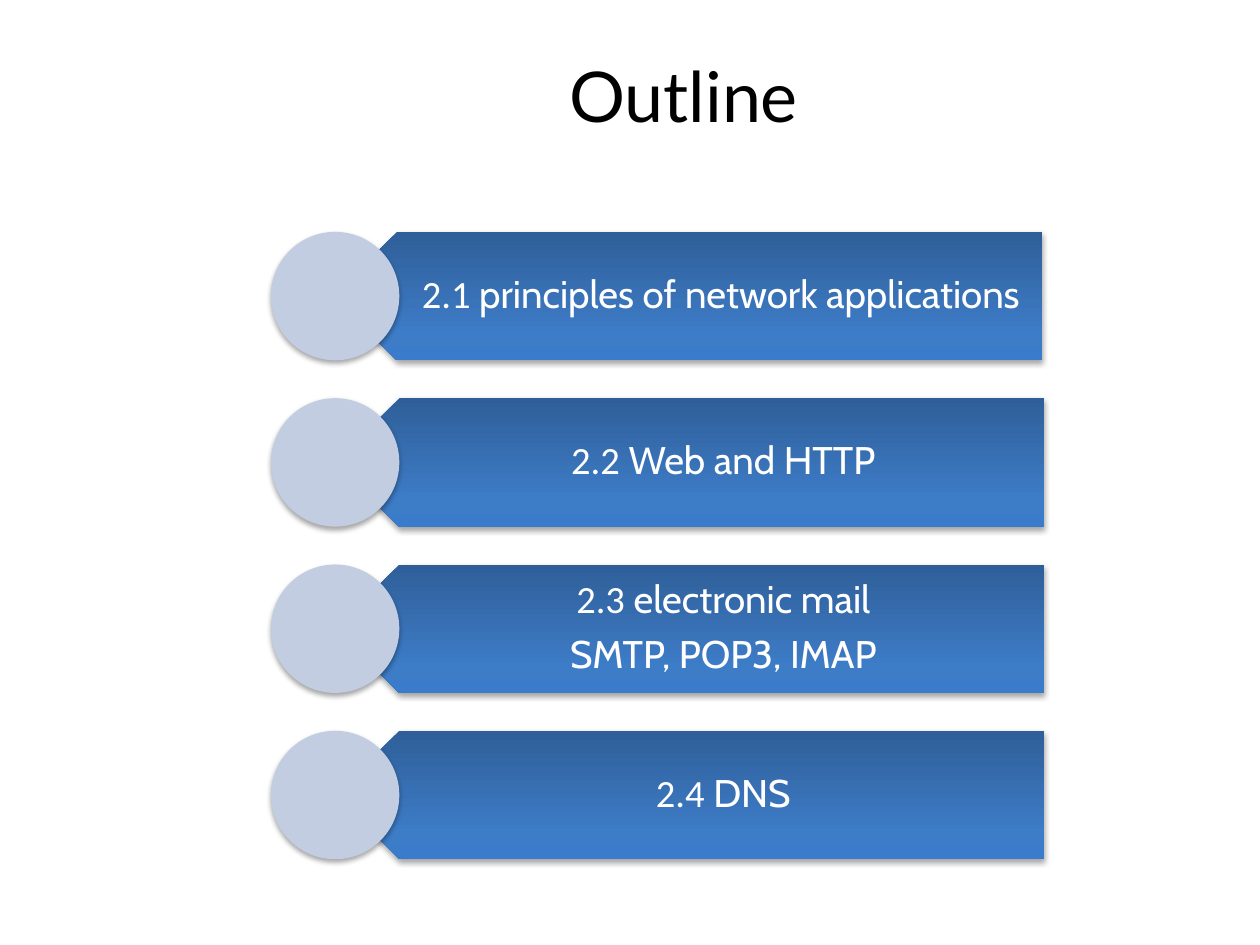
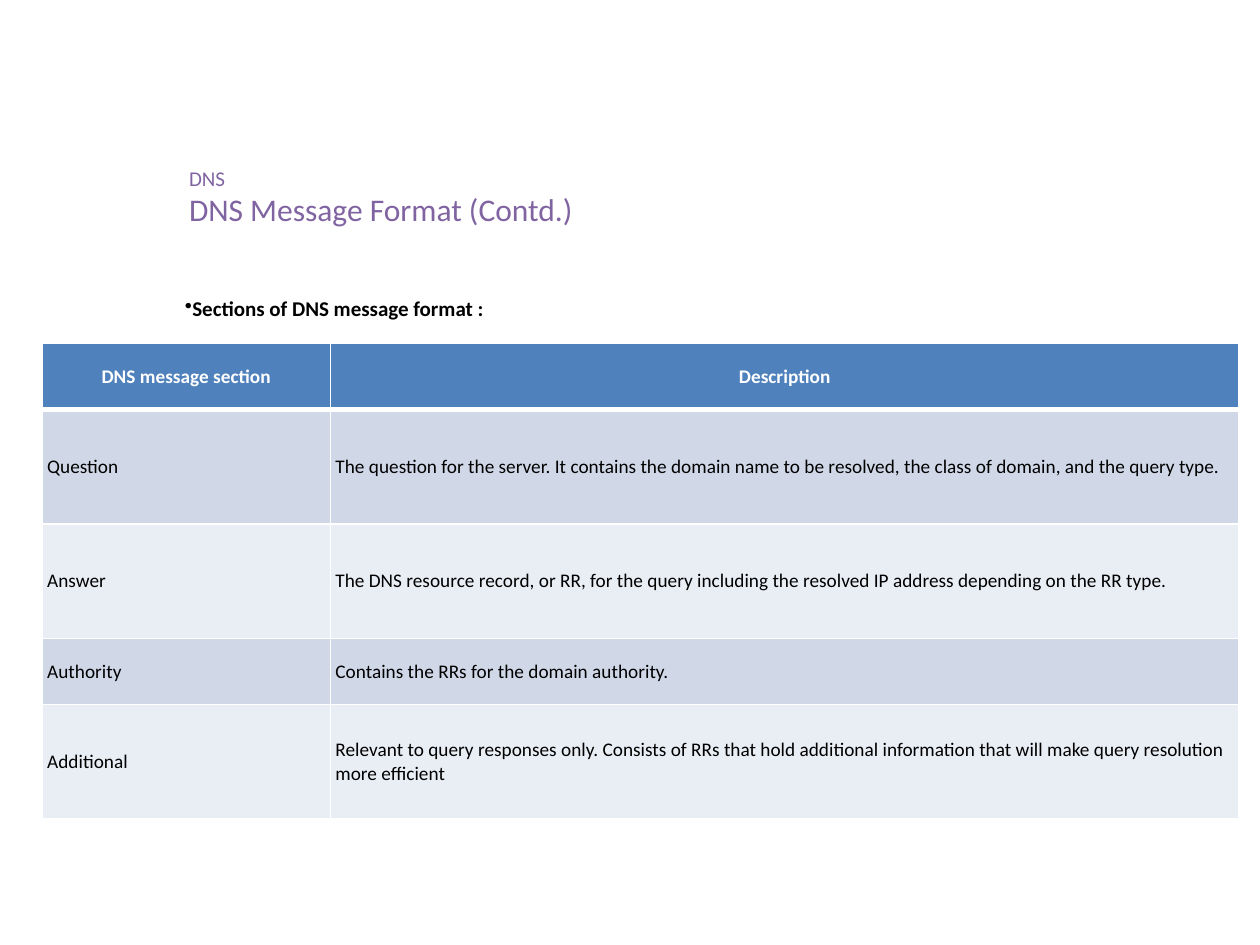
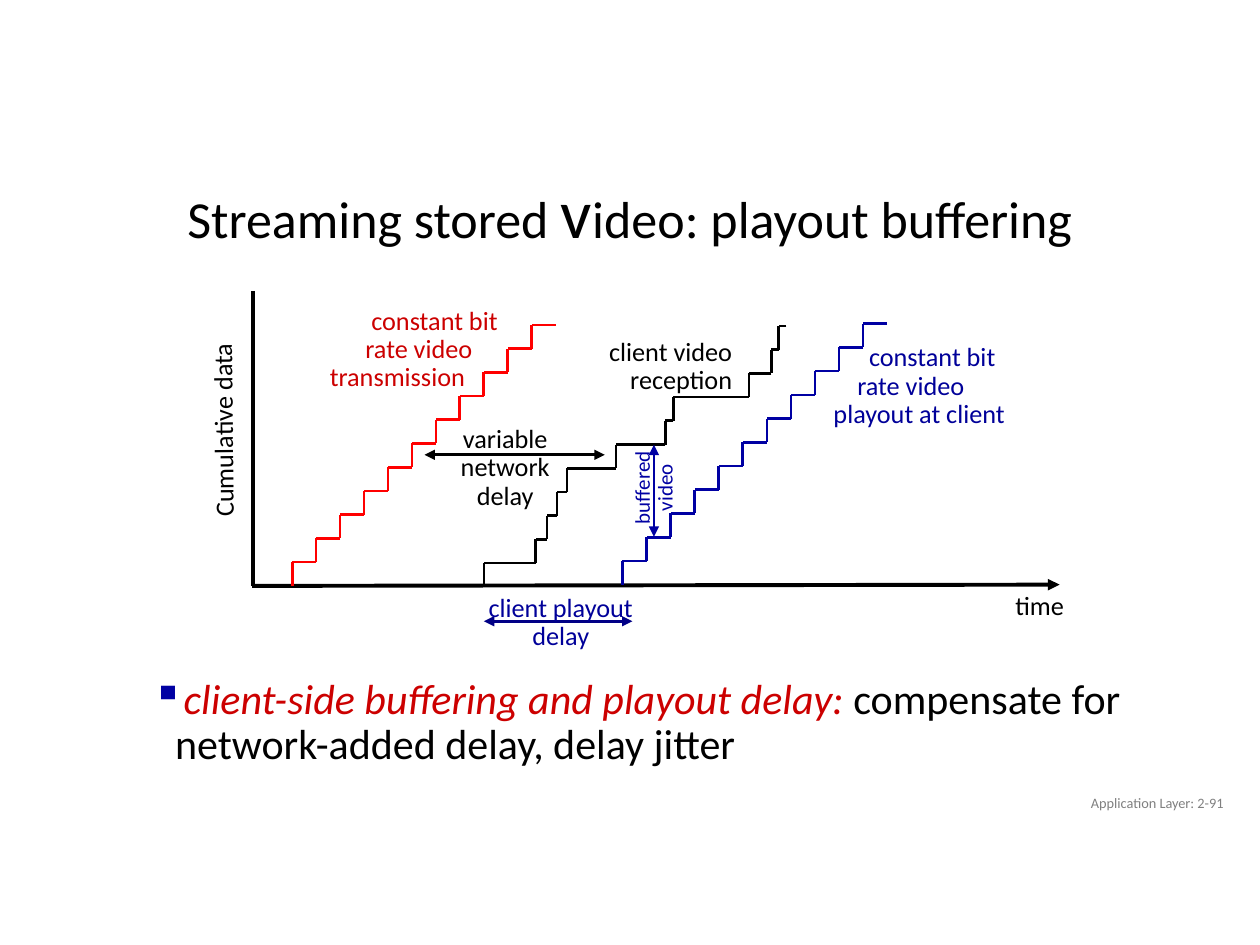
"""Build three network application slides: outline, DNS message table, playout buffering chart."""
from copy import deepcopy
from dataclasses import dataclass

from lxml import etree
from pptx import Presentation
from pptx.dml.color import RGBColor
from pptx.enum.shapes import MSO_CONNECTOR, MSO_SHAPE
from pptx.enum.text import MSO_ANCHOR, PP_ALIGN
from pptx.oxml.ns import qn
from pptx.util import Pt

LEFT, CENTER, RIGHT = PP_ALIGN.LEFT, PP_ALIGN.CENTER, PP_ALIGN.RIGHT
TOP, MIDDLE = MSO_ANCHOR.TOP, MSO_ANCHOR.MIDDLE
STRAIGHT = MSO_CONNECTOR.STRAIGHT
PENTAGON, OVAL = MSO_SHAPE.PENTAGON, MSO_SHAPE.OVAL


@dataclass(frozen=True)
class Theme:
    black: str = "000000"
    white: str = "FFFFFF"
    disc: str = "C2CDE1"
    banner: tuple = ((0, "2F5F99"), (0.8, "3D7CC7"), (1, "3A7CCB"))
    heading: str = "8064A2"
    table_head: str = "4F81BD"
    table_rows: tuple = ("D0D8E8", "E9EDF4")
    sent: str = "FF0000"
    accent: str = "CC0000"
    played: str = "0000A3"
    note: str = "000099"
    delay: str = "010086"
    muted: str = "808080"
    body_font: str = "Calibri"
    title_font: str = "Lato"
    outline_font: str = "Cabin"
    title_size: float = 40
    outline_size: float = 22
    heading_size: float = 18
    small_size: float = 12
    table_size: float = 11
    chart_title_size: float = 29.7
    chart_title_big: float = 39.6
    label_size: float = 15
    point_size: float = 24
    footer_size: float = 8.2


theme = Theme()


def write_text(frame, paragraphs):
    """Fill a frame with (paragraph format, spans); a span is text, size, color, font format."""
    for index, (layout, spans) in enumerate(paragraphs):
        para = frame.paragraphs[0] if index == 0 else frame.add_paragraph()
        layout = dict(layout)
        properties = para._p.get_or_add_pPr()
        left, first = layout.pop("indent", (0, 0))
        properties.set("marL", str(Pt(left)))
        properties.set("indent", str(Pt(first)))
        bullet, bullet_color = layout.pop("bullet", (None, None))
        if bullet:
            color = etree.SubElement(properties, qn("a:buClr"))
            etree.SubElement(color, qn("a:srgbClr"), val=bullet_color)
            etree.SubElement(properties, qn("a:buChar"), char=bullet)
        for name, value in layout.items():
            setattr(para, name, value)
        for text, size, color, font_format in spans:
            span = para.add_run()
            span.text = text
            formats = {"name": theme.body_font, "size": Pt(size), **font_format}
            for name, value in formats.items():
                setattr(span.font, name, value)
            span.font.color.rgb = RGBColor.from_string(color)


def add_line(page, start, end, color, width=1.5, ends=()):
    """Draw a straight line with arrowheads at the named ends."""
    line = page.shapes.add_connector(STRAIGHT, *map(Pt, start + end))
    line.line.color.rgb = RGBColor.from_string(color)
    line.line.width = Pt(width)
    for end_name in ends:
        etree.SubElement(line.line._get_or_add_ln(), qn(f"a:{end_name}"), type="triangle")
    etree.SubElement(line._element.spPr, qn("a:effectLst"))


deck = Presentation()
deck.slide_width, deck.slide_height = Pt(720), Pt(540)
outline, message, streaming = [deck.slides.add_slide(deck.slide_layouts[6]) for _ in range(3)]

topics = [
    ("2.1 ", ["principles of network applications"]),
    ("2.2 ", ["Web and HTTP"]),
    ("2.3 ", ["electronic mail", "SMTP, POP3, IMAP"]),
    ("2.4 ", ["DNS"]),
]
row_height, row_pitch, first_row = 73.4, 95.04, 132.5
topic_layout = {"alignment": CENTER, "line_spacing": 0.9, "space_after": Pt(7.7)}
topic_font = {"name": theme.outline_font}
topic_boxes = []
for row, (number, lines) in enumerate(topics):
    top = first_row + row * row_pitch
    left = 190.1 if row == 0 else 191.5
    banner = outline.shapes.add_shape(PENTAGON, Pt(left), Pt(top), Pt(405.4), Pt(row_height))
    banner.rotation = 180
    banner.fill.gradient()
    banner.fill.gradient_angle = 90
    stop_list = banner._element.spPr.find(qn("a:gradFill")).find(qn("a:gsLst"))
    stop_list.append(deepcopy(stop_list[-1]))
    for stop, (position, color) in zip(banner.fill.gradient_stops, theme.banner):
        stop.position = position
        stop.color.rgb = RGBColor.from_string(color)
    disc = outline.shapes.add_shape(OVAL, Pt(154.8), Pt(top), Pt(row_height), Pt(row_height))
    disc.fill.solid()
    disc.fill.fore_color.rgb = RGBColor.from_string(theme.disc)
    for shape in (banner, disc):
        shape.line.fill.background()
        shape.shadow.inherit = False
        effects = shape._element.spPr.find(qn("a:effectLst"))
        shadow = etree.SubElement(effects, qn("a:outerShdw"), blurRad=str(Pt(3.1)),
                                  dist=str(Pt(1.8)), dir="5400000", rotWithShape="0")
        shadow_color = etree.SubElement(shadow, qn("a:srgbClr"), val=theme.black)
        etree.SubElement(shadow_color, qn("a:alpha"), val="35000")
    paragraphs = [(topic_layout, [(text, theme.outline_size, theme.white, topic_font)])
                  for text in lines]
    paragraphs[0][1].insert(0, (number, theme.outline_size, theme.white, {}))
    topic_boxes.append((outline, (left + 18, top, 387.4, row_height), paragraphs,
                        {"vertical_anchor": MIDDLE, "margin_left": Pt(32.4),
                         "margin_right": Pt(12.2), "margin_top": Pt(6.5),
                         "margin_bottom": Pt(6.5)}, 0))

sections = [
    ("DNS message section", "Description"),
    ("Question", "The question for the server. It contains the domain name to be resolved, "
                 "the class of domain, and the query type."),
    ("Answer", "The DNS resource record, or RR, for the query including the resolved IP address "
               "depending on the RR type."),
    ("Authority", "Contains the RRs for the domain authority."),
    ("Additional", "Relevant to query responses only. Consists of RRs that hold additional "
                   "information that will make query resolution more efficient"),
]
table = message.shapes.add_table(5, 2, Pt(24.1), Pt(196.2), Pt(684), Pt(272)).table
for column, width in zip(table.columns, (164.7, 519.3)):
    column.width = Pt(width)
for row, height in zip(table.rows, (37.8, 65.4, 65.4, 37.8, 65.4)):
    row.height = Pt(height)
cell_format = {"vertical_anchor": MIDDLE, "margin_left": Pt(2.9), "margin_right": Pt(2.9),
               "margin_top": Pt(2.9), "margin_bottom": Pt(2.9)}
for row, texts in enumerate(sections):
    header = row == 0
    for column, text in enumerate(texts):
        cell = table.cell(row, column)
        for name, value in cell_format.items():
            setattr(cell, name, value)
        for side in "LRTB":
            width = 3 if header and side == "B" else 1
            border = etree.SubElement(cell._tc.get_or_add_tcPr(), qn(f"a:ln{side}"),
                                      w=str(Pt(width)))
            border_fill = etree.SubElement(border, qn("a:solidFill"))
            etree.SubElement(border_fill, qn("a:srgbClr"), val=theme.white)
        cell.fill.solid()
        fill = theme.table_head if header else theme.table_rows[(row - 1) % 2]
        cell.fill.fore_color.rgb = RGBColor.from_string(fill)
        color = theme.white if header else theme.black
        write_text(cell.text_frame, [({"alignment": CENTER if header else LEFT},
                                      [(text, theme.table_size, color, {"bold": header})])])

add_line(streaming, (144.7, 166.3), (144.7, 334.8), theme.black, 2.25)
add_line(streaming, (605.5, 334.1), (144, 334.8), theme.black, 2.25, ["headEnd"])
stairs = [
    (theme.sent, 334.8, [167 + 13.68 * step for step in range(12)]),
    (theme.black, 335.4, [276.5, 306, 312.5, 318.2, 324, 352.1, 380.2, 384.8, 428, 440.8,
                          445, 449.3]),
    (theme.played, 334.1, [355.7 + 13.75 * step for step in range(12)]),
]
rise = 13.56
for color, base, edges in stairs:
    for step, (left, right) in enumerate(zip(edges, edges[1:])):
        bottom = base - step * rise
        add_line(streaming, (left, bottom - rise), (left, bottom), color)
        add_line(streaming, (right, bottom - rise), (left, bottom - rise), color)
spans_between = [
    ((242.6, 259.9), (345.6, 259.9), theme.black),
    ((276.5, 355), (361.4, 355), theme.delay),
    ((373.7, 306.7), (373.7, 254.2), theme.played),
]
for start, end, color in spans_between:
    add_line(streaming, start, end, color, ends=["headEnd", "tailEnd"])

labels = [
    ((181.4, 172.1, 114.5, 56.2), LEFT, theme.accent, theme.label_size, 0,
     [("constant bit", 23.7), ("rate video", 20.3), ("transmission", 0)]),
    ((70.6, 232.6, 115.9, 23.8), LEFT, theme.black, theme.label_size, 269.4,
     [("Cumulative data", 0)]),
    ((573.1, 335.5, 42.5, 23.8), LEFT, theme.black, theme.label_size, 0, [("time", 0)]),
    ((255.6, 239.8, 66.2, 56.2), CENTER, theme.black, theme.label_size, 0,
     [("variable", 0), ("network", 0), ("delay", 0)]),
    ((339.8, 190.1, 85.7, 40.3), RIGHT, theme.black, theme.label_size, 0,
     [("client video", 0), ("reception", 0)]),
    ((465.8, 193, 116.6, 56.2), LEFT, theme.note, theme.label_size, 0,
     [("constant bit", 23.7), ("rate video", 17), ("playout at client", 3.4)]),
    ((270.7, 336.2, 99.4, 40.3), CENTER, theme.note, theme.label_size, 0,
     [("client playout", 0), ("delay", 0)]),
    ((345.6, 262.1, 56.9, 33.1), CENTER, theme.played, theme.small_size, 270,
     [("buffered", 0), ("video", 0)]),
]
label_boxes = [
    (streaming, place,
     [({"alignment": alignment, "line_spacing": 0.9, "indent": (indent, 0)},
       [(text, size, color, {})]) for text, indent in lines],
     {"word_wrap": False}, rotation)
    for place, alignment, color, size, rotation, lines in labels
]

tight = {"margin_left": Pt(5), "margin_right": Pt(5), "margin_top": Pt(2.9),
         "margin_bottom": Pt(2.9)}
middle = {"vertical_anchor": MIDDLE}
centered = {"alignment": CENTER}
text_boxes = [
    (outline, (95.8, 18, 589.7, 72),
     [(centered, [("Outline", theme.title_size, theme.black, {"name": theme.title_font})])],
     middle, 0),
    *topic_boxes,
    (message, (103, 90, 531.4, 44.6),
     [({}, [("DNS", theme.small_size, theme.heading, {})]),
      ({}, [("DNS Message Format (Contd.)", theme.heading_size, theme.heading, {})])],
     {**tight, **middle}, 0),
    (message, (98.6, 165.6, 515.5, 41),
     [({"bullet": ("•", theme.black)},
       [("Sections of DNS message format :", theme.small_size, theme.black, {"bold": True})])],
     {}, 0),
    (streaming, (49.7, 94.3, 620.6, 52.6),
     [(centered, [("Streaming stored ", theme.chart_title_size, theme.black, {}),
                  ("v", theme.chart_title_big, theme.black, {}),
                  ("ideo: playout buffering", theme.chart_title_size, theme.black, {})])],
     middle, 0),
    *label_boxes,
    (streaming, (74.2, 384.5, 620.6, 52.6),
     [({"indent": (20.9, -13), "line_spacing": 0.9, "bullet": ("▪", theme.played)},
       [("client-side buffering and playout delay: ", theme.point_size, theme.accent,
         {"italic": True}),
        ("compensate for network-added delay, delay jitter", theme.point_size, theme.black,
         {})])],
     tight, 0),
    (streaming, (544.3, 447.8, 162, 21.6),
     [({"alignment": RIGHT}, [("Application Layer: 2-91", theme.footer_size, theme.muted, {})])],
     middle, 0),
]
for page, place, paragraphs, frame_format, rotation in text_boxes:
    box = page.shapes.add_textbox(*map(Pt, place))
    box.rotation = rotation
    formats = {"word_wrap": True, "vertical_anchor": TOP, **frame_format}
    for name, value in formats.items():
        setattr(box.text_frame, name, value)
    write_text(box.text_frame, paragraphs)

deck.save("out.pptx")
